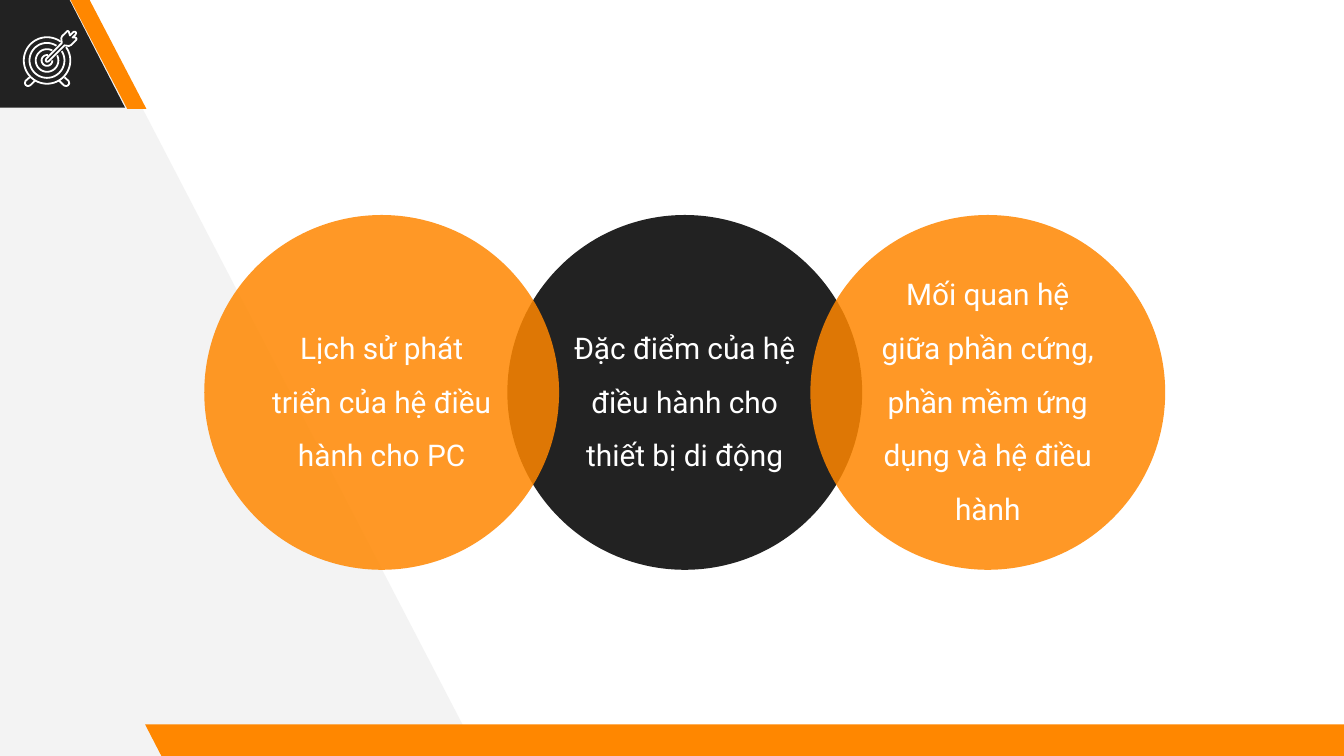
from dataclasses import dataclass
from math import cos, radians, sin

from lxml import etree
from pptx import Presentation
from pptx.dml.color import RGBColor
from pptx.enum.shapes import MSO_SHAPE
from pptx.enum.text import MSO_ANCHOR, PP_ALIGN
from pptx.oxml.ns import qn
from pptx.util import Emu, Inches, Pt

OVAL = MSO_SHAPE.OVAL
SLANT = MSO_SHAPE.PARALLELOGRAM
MIDDLE = MSO_ANCHOR.MIDDLE
CENTER = PP_ALIGN.CENTER

HUES = {"dark": "222222", "orange": "FF8700", "pale": "F3F3F3", "white": "FFFFFF"}
COLS, ROWS = 100, 56.25
CELL = Inches(0.1)
SIZE, PITCH = 26.4, 22.55
LEFT, TOP = 15.2, 16
HUB = (3.5, 4.5)


@dataclass
class Band:
    left: float
    top: float
    width: float
    height: float
    slope: float
    hue: str


@dataclass
class Topic:
    col: int
    hue: str
    alpha: int
    text: str


@dataclass
class Ring:
    radius: float
    start: int
    stop: int


BANDS = [
    Band(-9.9, -0.2, 19.2, 8.2, 0.515, "dark"),
    Band(5.2, -0.1, 5.7, 8.2, 0.75, "orange"),
    Band(10.8, 53.9, 91.5, 2.5, 0.515, "orange"),
]
TOPICS = [
    Topic(1, "dark", 100, "Đặc điểm của hệ điều hành cho thiết bị di động"),
    Topic(0, "orange", 85, "Lịch sử phát triển của hệ điều hành cho PC"),
    Topic(2, "orange", 85,
          "Mối quan hệ giữa phần cứng, phần mềm ứng dụng và hệ điều hành"),
]
RINGS = [Ring(1.73, -35, 306), Ring(1.3, -32, 303),
         Ring(0.84, -27, 298), Ring(0.4, 0, 280)]
PANEL = [(35.6, 56.2), (6.2, -0.4), (-0.6, -0.4), (-0.2, 56.6)]
FOOT = [(2.2, 5.75), (1.9, 6.02), (1.85, 6.2), (1.92, 6.33), (2.05, 6.4),
        (2.2, 6.38), (2.3, 6.3), (2.6, 6)]
ARROW = [(5.6, 2.8), (5.4, 2.8), (5.62, 2.58), (5.67, 2.46), (5.6, 2.36),
         (5.46, 2.38), (5.2, 2.65), (5.12, 2.35), (5.02, 2.3), (4.62, 2.7),
         (4.56, 2.85), (4.6, 3.2), (3.42, 4.4), (3.4, 4.52), (3.47, 4.6),
         (3.6, 4.58), (4.8, 3.38), (5.12, 3.43), (5.28, 3.36), (5.68, 2.96),
         (5.68, 2.85)]


def cell(n: float) -> Emu:
    return Emu(round(n * CELL))


def paint(shape, hue: str) -> None:
    shape.shadow.inherit = False
    shape.fill.solid()
    shape.fill.fore_color.rgb = RGBColor.from_string(HUES[hue])
    shape.line.fill.background()


def trace(shapes, points: list, close: bool):
    spots = [(cell(x), cell(y)) for x, y in points]
    pen = shapes.build_freeform(*spots[0])
    pen.add_line_segments(spots[1:], close=close)
    return pen.convert_to_shape()


def sketch(shapes, points: list, close: bool = False) -> None:
    shape = trace(shapes, points, close)
    shape.shadow.inherit = False
    shape.fill.background()
    shape.line.color.rgb = RGBColor.from_string(HUES["white"])
    shape.line.width = Pt(0.96)


def add_band(shapes, band: Band) -> None:
    box = map(cell, (band.left, band.top, band.width, band.height))
    shape = shapes.add_shape(SLANT, *box)
    shape.adjustments[0] = band.slope
    shape._element.spPr.find(qn("a:xfrm")).set("flipH", "1")
    paint(shape, band.hue)


def add_ring(shapes, ring: Ring) -> None:
    turns = [radians(ring.start + (ring.stop - ring.start) * i / 60)
             for i in range(61)]
    sketch(shapes, [(HUB[0] + ring.radius * cos(t), HUB[1] + ring.radius * sin(t))
                    for t in turns])


def add_topic(shapes, topic: Topic) -> None:
    box = map(cell, (LEFT + topic.col * PITCH, TOP, SIZE, SIZE))
    shape = shapes.add_shape(OVAL, *box)
    paint(shape, topic.hue)
    if topic.alpha < 100:
        tint = shape._element.spPr.find(qn("a:solidFill"))[0]
        etree.SubElement(tint, qn("a:alpha")).set("val", str(topic.alpha * 1000))
    frame = shape.text_frame
    frame.text = topic.text
    frame.word_wrap = True
    frame.vertical_anchor = MIDDLE
    frame.margin_left = frame.margin_right = CELL
    frame.margin_top = frame.margin_bottom = CELL
    para = frame.paragraphs[0]
    para.alignment = CENTER
    para.line_spacing = 1.5
    font = para.runs[0].font
    font.name = "Roboto"
    font.size = Pt(16)
    font.color.rgb = RGBColor.from_string(HUES["white"])


def main() -> None:
    deck = Presentation()
    deck.slide_width, deck.slide_height = cell(COLS), cell(ROWS)
    shapes = deck.slides.add_slide(deck.slide_layouts[6]).shapes
    paint(trace(shapes, PANEL, True), "pale")
    for band in BANDS:
        add_band(shapes, band)
    for ring in RINGS:
        add_ring(shapes, ring)
    sketch(shapes, FOOT)
    sketch(shapes, [(2 * HUB[0] - x, y) for x, y in FOOT])
    sketch(shapes, ARROW, True)
    for topic in TOPICS:
        add_topic(shapes, topic)
    deck.save("out.pptx")


if __name__ == "__main__":
    main()
